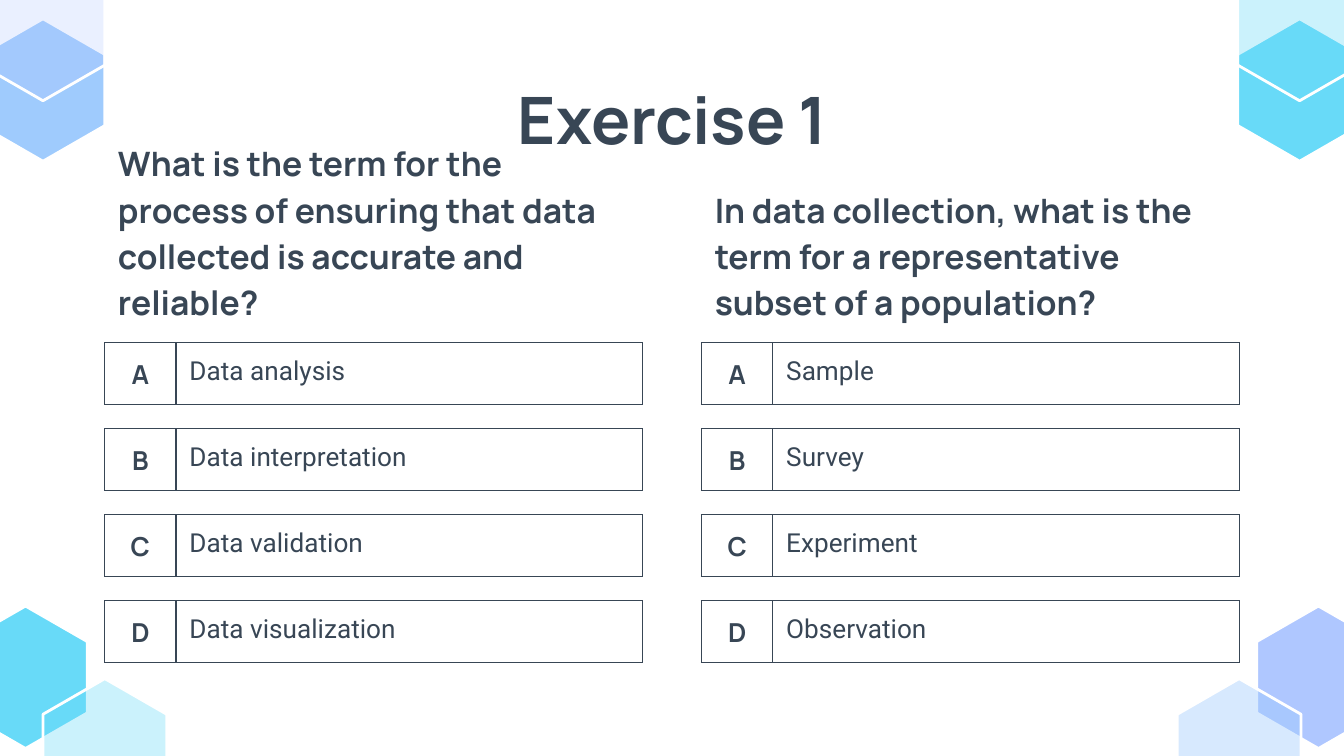
from lxml import etree
from pptx import Presentation
from pptx.dml.color import RGBColor
from pptx.enum.text import MSO_ANCHOR, PP_ALIGN
from pptx.oxml.ns import qn
from pptx.util import Inches, Pt

LEFT, CENTER = PP_ALIGN.LEFT, PP_ALIGN.CENTER
TOP, BOTTOM = MSO_ANCHOR.TOP, MSO_ANCHOR.BOTTOM

HEADING_FONT, BODY_FONT = "Manrope", "Roboto"
INK, WHITE = "384655", "FFFFFF"
CYAN, SKY, PERIWINKLE = "68DAF8", "9FCBFD", "AFC7FF"

HEX_WIDTH, HEX_HEIGHT = 0.92, 1.06
# Left, top, colour, opacity in percent (None is solid)
HEXAGONS = [
    (-0.27, 4.51, CYAN, None),
    (0.32, 5.05, CYAN, 34),
    (9.35, 4.51, PERIWINKLE, None),
    (8.76, 5.05, SKY, 41),
    (-0.14, 0.14, SKY, None),
    (-0.14, -0.31, PERIWINKLE, 25),
    (9.21, 0.14, CYAN, None),
    (9.21, -0.31, CYAN, 34),
]

QUESTIONS = [
    (0.78, "What is the term for the process of ensuring that data "
           "collected is accurate and reliable?",
     ["Data analysis", "Data interpretation", "Data validation", "Data visualization"]),
    (5.22, "In data collection, what is the term for a representative "
           "subset of a population?",
     ["Sample", "Survey", "Experiment", "Observation"]),
]
QUESTION_TOP, QUESTION_HEIGHT, QUESTION_WIDTH = 1.28, 1.22, 4
ANSWER_OFFSET, ANSWER_PITCH, ANSWER_HEIGHT = 1.27, 0.64, 0.46
LETTER_WIDTH = 0.53


def color(hex_string):
    return RGBColor.from_string(hex_string)


def style(para, size, font=HEADING_FONT, bold=True, align=LEFT):
    para.alignment = align
    para.font.size = Pt(size)
    para.font.name = font
    para.font.bold = bold
    para.font.color.rgb = color(INK)


def add_text(page, left, top, width, height, text, size,
             align=LEFT, anchor=TOP, line_spacing=1.0):
    box = page.shapes.add_textbox(Inches(left), Inches(top), Inches(width), Inches(height))
    frame = box.text_frame
    frame.word_wrap = True
    frame.vertical_anchor = anchor
    frame.margin_left = frame.margin_right = Inches(0.1)
    frame.margin_top = frame.margin_bottom = Inches(0.1)
    para = frame.paragraphs[0]
    para.text = text
    para.line_spacing = line_spacing
    style(para, size, align=align)


def add_hexagon(page, left, top, fill, opacity):
    middle, right = left + HEX_WIDTH / 2, left + HEX_WIDTH
    upper, lower = top + HEX_HEIGHT / 4, top + HEX_HEIGHT * 3 / 4
    corners = [(middle, top), (left, upper), (left, lower),
               (middle, top + HEX_HEIGHT), (right, lower), (right, upper)]
    points = [(Inches(x), Inches(y)) for x, y in corners]
    builder = page.shapes.build_freeform(*points[0])
    builder.add_line_segments(points[1:], close=True)
    hexagon = builder.convert_to_shape()
    hexagon.shadow.inherit = False
    hexagon.fill.solid()
    hexagon.fill.fore_color.rgb = color(fill)
    hexagon.line.color.rgb = color(WHITE)
    hexagon.line.width = Pt(1.5)
    if opacity is not None:
        tint = hexagon.fill._xPr.find(qn("a:solidFill"))[0]
        etree.SubElement(tint, qn("a:alpha"), val=str(opacity * 1000))


def add_borders(cell):
    properties = cell._tc.get_or_add_tcPr()
    for side in ("lnL", "lnR", "lnT", "lnB"):
        line = etree.SubElement(properties, qn(f"a:{side}"), w=str(Pt(0.75)))
        fill = etree.SubElement(line, qn("a:solidFill"))
        etree.SubElement(fill, qn("a:srgbClr"), val=INK)


def add_answer(page, left, top, width, letter, answer):
    frame = page.shapes.add_table(1, 2, Inches(left), Inches(top),
                                  Inches(width), Inches(ANSWER_HEIGHT))
    table = frame.table
    table.first_row = table.horz_banding = False
    table.columns[0].width = Inches(LETTER_WIDTH)
    table.columns[1].width = Inches(width - LETTER_WIDTH)
    for cell, text in zip(table.rows[0].cells, (letter, answer)):
        cell.text = text
        cell.margin_left = cell.margin_right = Inches(0.1)
        cell.margin_top = cell.margin_bottom = Inches(0.1)
        add_borders(cell)
        cell.fill.background()
    style(table.cell(0, 0).text_frame.paragraphs[0], 14, align=CENTER)
    style(table.cell(0, 1).text_frame.paragraphs[0], 14, BODY_FONT, bold=False)


def add_question(page, left, top, width, question, answers):
    add_text(page, left, top, width, QUESTION_HEIGHT, question, 18,
             anchor=BOTTOM, line_spacing=1.15)
    for index, (letter, answer) in enumerate(zip("ABCD", answers)):
        answer_top = top + ANSWER_OFFSET + index * ANSWER_PITCH
        add_answer(page, left, answer_top, width, letter, answer)


def main():
    deck = Presentation()
    # Widescreen page, 16:9
    deck.slide_width = Inches(10)
    deck.slide_height = deck.slide_width * 9 // 16
    page = deck.slides.add_slide(deck.slide_layouts[6])

    # Corner decoration
    for hexagon in HEXAGONS:
        add_hexagon(page, *hexagon)

    # Title
    add_text(page, 0.79, 0.49, 8.43, 0.63, "Exercise 1", 35, align=CENTER)

    # Two multiple-choice questions
    for left, question, answers in QUESTIONS:
        add_question(page, left, QUESTION_TOP, QUESTION_WIDTH, question, answers)

    deck.save("out.pptx")


if __name__ == "__main__":
    main()
